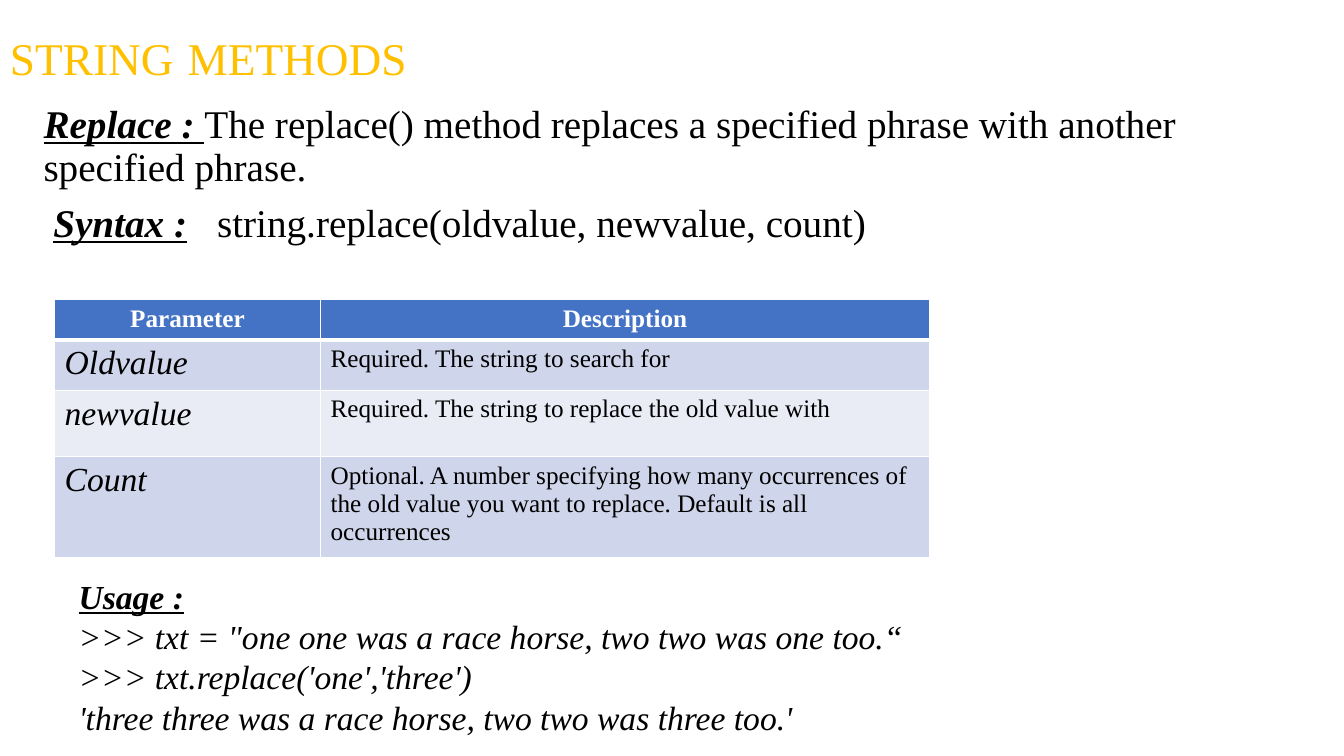
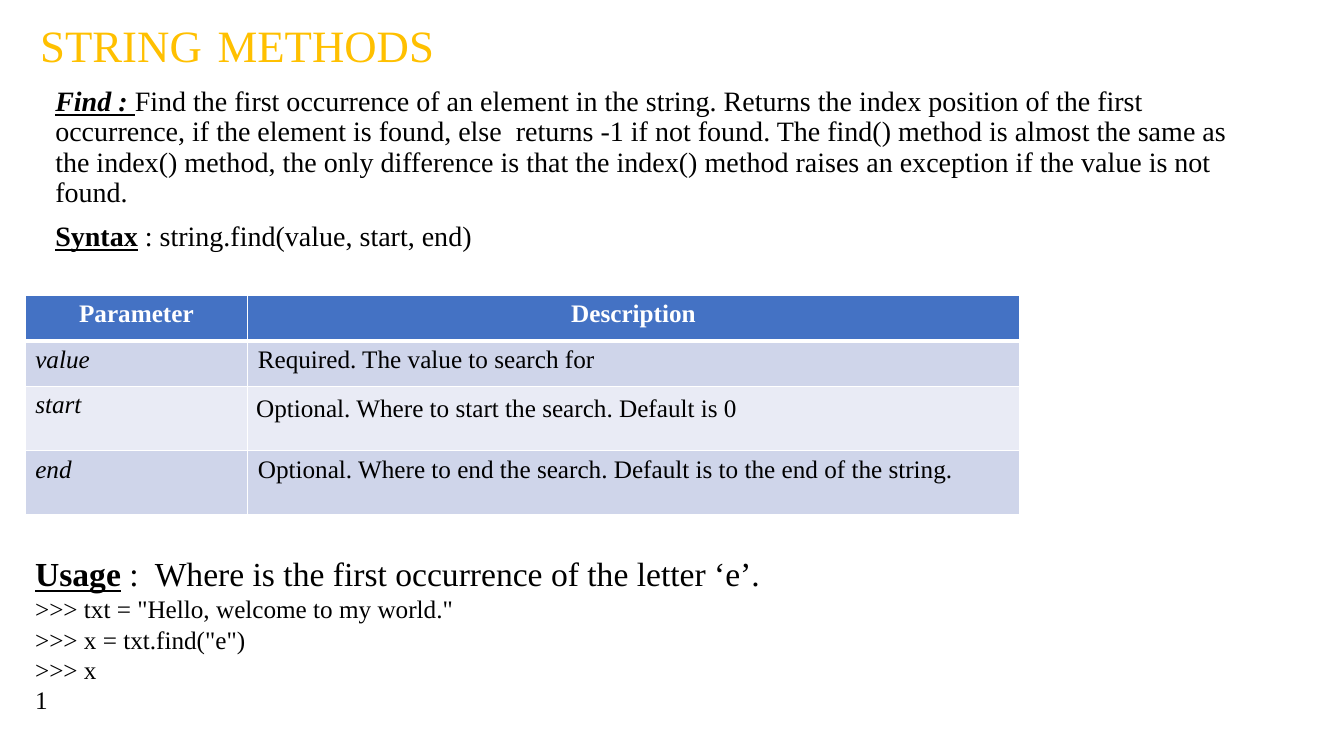
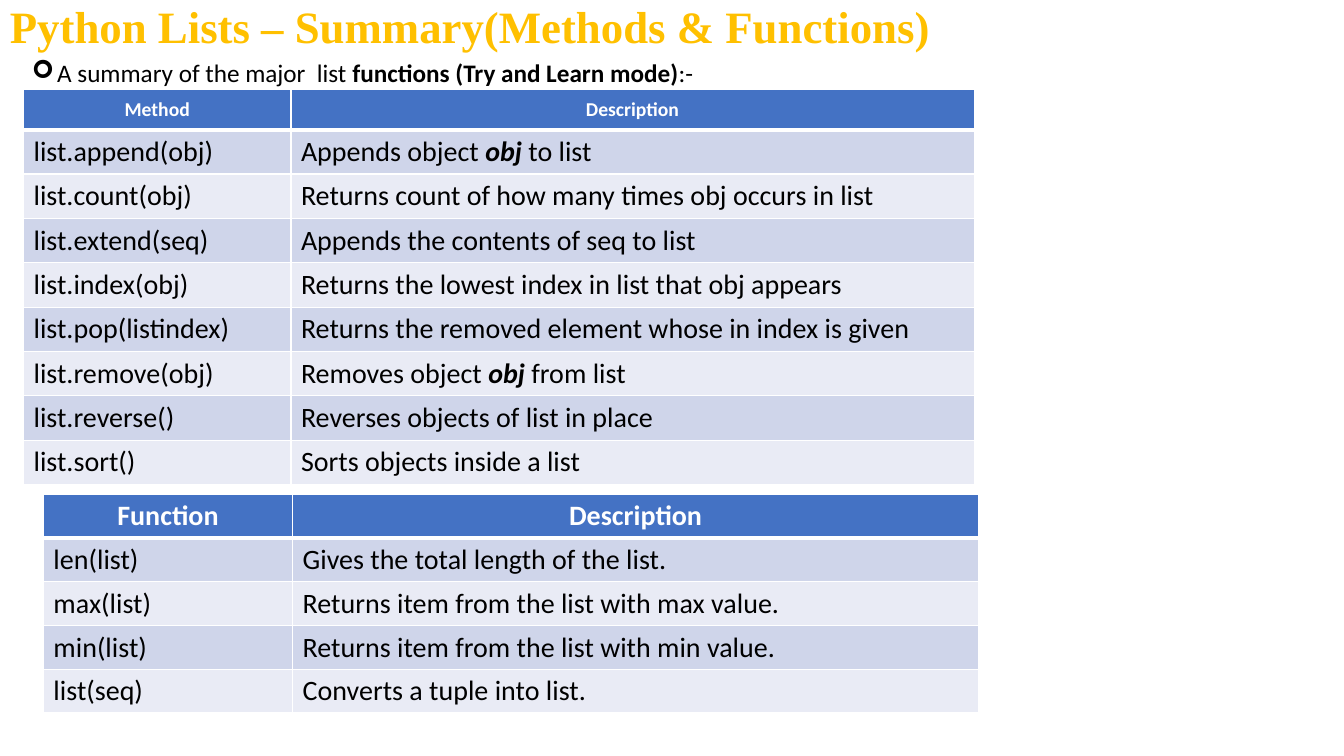
from dataclasses import dataclass, field
from typing import Any

from lxml.etree import SubElement
from pptx import Presentation
from pptx.dml.color import RGBColor
from pptx.enum.text import MSO_ANCHOR as Anchor, PP_ALIGN as Align
from pptx.oxml import parse_xml
from pptx.oxml.ns import nsdecls, qn
from pptx.slide import Slide
from pptx.table import _Cell as Cell
from pptx.text.text import TextFrame
from pptx.util import Pt


@dataclass(frozen=True)
class Theme:
    gold: str = "FFC000"
    black: str = "000000"
    white: str = "FFFFFF"
    header: str = "4472C4"
    bands: tuple[str, str] = ("CFD5EA", "E9EBF5")
    serif: str = "Times New Roman"
    sans: str = "Calibri"
    title: float = 32
    title_gap: float = 44
    lead: float = 28
    heading: float = 24
    body: float = 20
    code: float = 18
    small: float = 14
    tight: float = 0.9
    thin: float = 1
    thick: float = 3


THEME = Theme()
BOLD = {"bold": True}
ITALIC = {"italic": True}
BOLD_ITALIC = BOLD | ITALIC
LABEL = BOLD | {"underline": True}
ITALIC_LABEL = LABEL | ITALIC


@dataclass(frozen=True)
class Run:
    text: str
    formats: dict[str, Any] = field(default_factory=dict)


@dataclass(frozen=True)
class Line:
    runs: tuple[Run, ...]
    formats: dict[str, Any] = field(default_factory=dict)
    bullet: str = ""
    hanging: float = 0
    tab: float = 0


@dataclass(frozen=True)
class Box:
    left: float
    top: float
    width: float
    height: float


@dataclass(frozen=True)
class TableStyle:
    font: str
    header_size: float
    name_size: float
    text_size: float
    name_italic: bool = False
    anchor: Anchor = Anchor.TOP


def line(*parts: Run | str, **options: Any) -> Line:
    return Line(tuple(Run(part) if isinstance(part, str) else part for part in parts), **options)


def fill_text(frame: TextFrame, lines: list[Line], **base: Any) -> None:
    for index, item in enumerate(lines):
        paragraph = frame.paragraphs[0] if index == 0 else frame.add_paragraph()
        for name, value in item.formats.items():
            setattr(paragraph, name, value)
        properties = paragraph._p.get_or_add_pPr()
        if item.bullet:
            properties.set("marL", str(Pt(item.hanging)))
            properties.set("indent", str(-Pt(item.hanging)))
            SubElement(properties, qn("a:buFont"), typeface="Wingdings")
            SubElement(properties, qn("a:buChar"), char=item.bullet)
        if item.tab:
            stops = SubElement(properties, qn("a:tabLst"))
            SubElement(stops, qn("a:tab"), pos=str(Pt(item.tab)), algn="l")
        for part in item.runs:
            run = paragraph.add_run()
            run.text = part.text
            formats = {"color": THEME.black} | base | part.formats
            run.font.color.rgb = RGBColor.from_string(formats.pop("color"))
            formats["size"] = Pt(formats["size"])
            for name, value in formats.items():
                setattr(run.font, name, value)


def add_text(slide: Slide, box: Box, lines: list[Line], anchor: Anchor = Anchor.TOP, **base: Any) -> None:
    shape = slide.shapes.add_textbox(Pt(box.left), Pt(box.top), Pt(box.width), Pt(box.height))
    frame = shape.text_frame
    for name, value in {"word_wrap": True, "vertical_anchor": anchor}.items():
        setattr(frame, name, value)
    fill_text(frame, lines, **base)


def add_title(slide: Slide, box: Box, *runs: Run | str, **extra: Any) -> None:
    base = {"name": THEME.serif, "size": THEME.title, "color": THEME.gold} | extra
    add_text(slide, box, [line(*runs, formats={"line_spacing": THEME.tight})], Anchor.MIDDLE, **base)


def set_borders(cell: Cell, row: int) -> None:
    properties = cell._tc.get_or_add_tcPr()
    widths = {"L": THEME.thin, "R": THEME.thin,
              "T": THEME.thick if row == 1 else THEME.thin,
              "B": THEME.thick if row == 0 else THEME.thin}
    for index, (side, width) in enumerate(widths.items()):
        properties.insert(index, parse_xml(
            f'<a:ln{side} {nsdecls("a")} w="{Pt(width)}"><a:solidFill>'
            f'<a:srgbClr val="{THEME.white}"/></a:solidFill></a:ln{side}>'))


def add_grid(slide: Slide, left: float, top: float, columns: tuple[float, ...],
             heights: list[float], rows: list[tuple[str | Line, ...]], style: TableStyle) -> Any:
    frame = slide.shapes.add_table(len(rows), len(columns), Pt(left), Pt(top),
                                   Pt(sum(columns)), Pt(sum(heights)))
    table = frame.table
    for column, width in zip(table.columns, columns):
        column.width = Pt(width)
    for row_index, (row, height) in enumerate(zip(rows, heights)):
        table.rows[row_index].height = Pt(height)
        for column_index, content in enumerate(row):
            cell = table.cell(row_index, column_index)
            cell.vertical_anchor = style.anchor
            cell.fill.solid()
            is_header = row_index == 0
            color = THEME.header if is_header else THEME.bands[(row_index - 1) % 2]
            cell.fill.fore_color.rgb = RGBColor.from_string(color)
            set_borders(cell, row_index)
            is_name = column_index == 0
            if is_header:
                base = {"size": style.header_size, "color": THEME.white, "bold": True}
                content = line(content, formats={"alignment": Align.CENTER})
            else:
                base = {"size": style.name_size if is_name else style.text_size,
                        "bold": False, "italic": is_name and style.name_italic}
            text = content if isinstance(content, Line) else line(content)
            fill_text(cell.text_frame, [text], name=style.font, **base)
    return table


def build_replace(slide: Slide) -> None:
    add_title(slide, Box(0, 14.4, 828, 54), "STRING",
              Run(" ", {"size": 39.6}), "METHODS", size=32.4)
    add_text(slide, Box(24, 71.3, 863, 409), [
        line(Run("Replace : ", ITALIC_LABEL),
             "The replace() method replaces a specified phrase with another specified phrase.",
             formats={"line_spacing": THEME.tight}),
        line(" ", Run("Syntax :", ITALIC_LABEL), "\tstring.replace(oldvalue, newvalue, count)",
             formats={"line_spacing": THEME.tight, "space_before": Pt(10)}, tab=124),
    ], name=THEME.serif, size=THEME.lead)
    add_grid(slide, 39, 214, (190, 435), [26.6, 33.8, 47.5, 67], [
        ("Parameter", "Description"),
        ("Oldvalue", "Required. The string to search for"),
        ("newvalue", "Required. The string to replace the old value with"),
        ("Count", "Optional. A number specifying how many occurrences of the old value "
                  "you want to replace. Default is all occurrences"),
    ], TableStyle(THEME.serif, THEME.code, THEME.heading, THEME.code, True))
    add_text(slide, Box(49, 407.5, 660, 145), [
        line(Run("Usage :", LABEL)),
        line('>>> txt = "one one was a race horse, two two was one too.“'),
        line(">>> txt.replace('one','three')"),
        line("'three three was a race horse, two two was three too.'"),
    ], name=THEME.serif, size=THEME.heading, italic=True)


def build_find(slide: Slide) -> None:
    add_title(slide, Box(21.6, 0, 828, 61), "STRING",
              Run(" ", {"size": THEME.title_gap}), "METHODS")
    add_text(slide, Box(32.4, 59, 863, 409), [
        line(Run("Find : ", ITALIC_LABEL),
             "Find the first occurrence of an element in the string. Returns the index position "
             "of the first occurrence, if the element is found, else  returns -1 if not found. "
             "The find() method is almost the same as the index() method, the only difference is "
             "that the index() method raises an exception if the value is not found.",
             formats={"line_spacing": THEME.tight}),
        line(Run("Syntax", LABEL), " : string.find(value, start, end)",
             formats={"line_spacing": THEME.tight, "space_before": Pt(10)}),
    ], name=THEME.serif, size=THEME.body)
    table = add_grid(slide, 18, 211, (159, 551), [32.4, 32.4, 46, 46], [
        ("Parameter", "Description"),
        ("value", "Required. The value to search for"),
        ("start", "Optional. Where to start the search. Default is 0"),
        ("end", "Optional. Where to end the search. Default is to the end of the string."),
    ], TableStyle(THEME.serif, THEME.code, THEME.code, THEME.code, True))
    for side in ("left", "top", "right", "bottom"):
        setattr(table.cell(2, 1), f"margin_{side}", Pt(6))
    add_text(slide, Box(18, 391.7, 781, 152), [
        line(Run("Usage", LABEL), " :  Where is the first occurrence of the letter ‘e’."),
        *(line(Run(code, {"size": THEME.code})) for code in (
            '>>> txt = "Hello, welcome to my world."', '>>> x = txt.find("e")', ">>> x", "1")),
    ], name=THEME.serif, size=THEME.heading)


def build_summary(slide: Slide) -> None:
    add_title(slide, Box(0, 0, 701, 41), "Python Lists – Summary(Methods & Functions)", bold=True)
    methods = [
        ("Method", "Description"),
        ("list.append(obj)", line("Appends object ", Run("obj", BOLD_ITALIC), " to list")),
        ("list.count(obj)", "Returns count of how many times obj occurs in list"),
        ("list.extend(seq)", "Appends the contents of seq to list"),
        ("list.index(obj)", "Returns the lowest index in list that obj appears"),
        ("list.pop(listindex)", "Returns the removed element whose in index is given"),
        ("list.remove(obj)", line("Removes object ", Run("obj", BOLD_ITALIC), " from list")),
        ("list.reverse()", "Reverses objects of list in place"),
        ("list.sort()", "Sorts objects inside a list"),
    ]
    add_grid(slide, 16.8, 63.6, (191, 488), [29] + [31.7] * (len(methods) - 1), methods,
             TableStyle(THEME.sans, THEME.small, THEME.body, THEME.body, anchor=Anchor.MIDDLE))
    add_text(slide, Box(15.8, 37.4, 510, 51), [
        line("A summary of the major  list ", Run("functions (Try and Learn mode)", BOLD), ":-",
             bullet="➢", hanging=18),
    ], name=THEME.sans, size=THEME.code)
    functions = [
        ("Function", "Description"),
        ("len(list)", "Gives the total length of the list."),
        ("max(list)", "Returns item from the list with max value."),
        ("min(list)", "Returns item from the list with min value."),
        ("list(seq)", "Converts a tuple into list."),
    ]
    add_grid(slide, 31, 353, (178, 490), [31] * len(functions), functions,
             TableStyle(THEME.sans, THEME.body, THEME.body, THEME.body))


def main() -> None:
    presentation = Presentation()
    for name, value in {"slide_width": Pt(960), "slide_height": Pt(540)}.items():
        setattr(presentation, name, value)
    blank = presentation.slide_layouts[6]
    for build in (build_replace, build_find, build_summary):
        build(presentation.slides.add_slide(blank))
    presentation.save("out.pptx")


if __name__ == "__main__":
    main()
